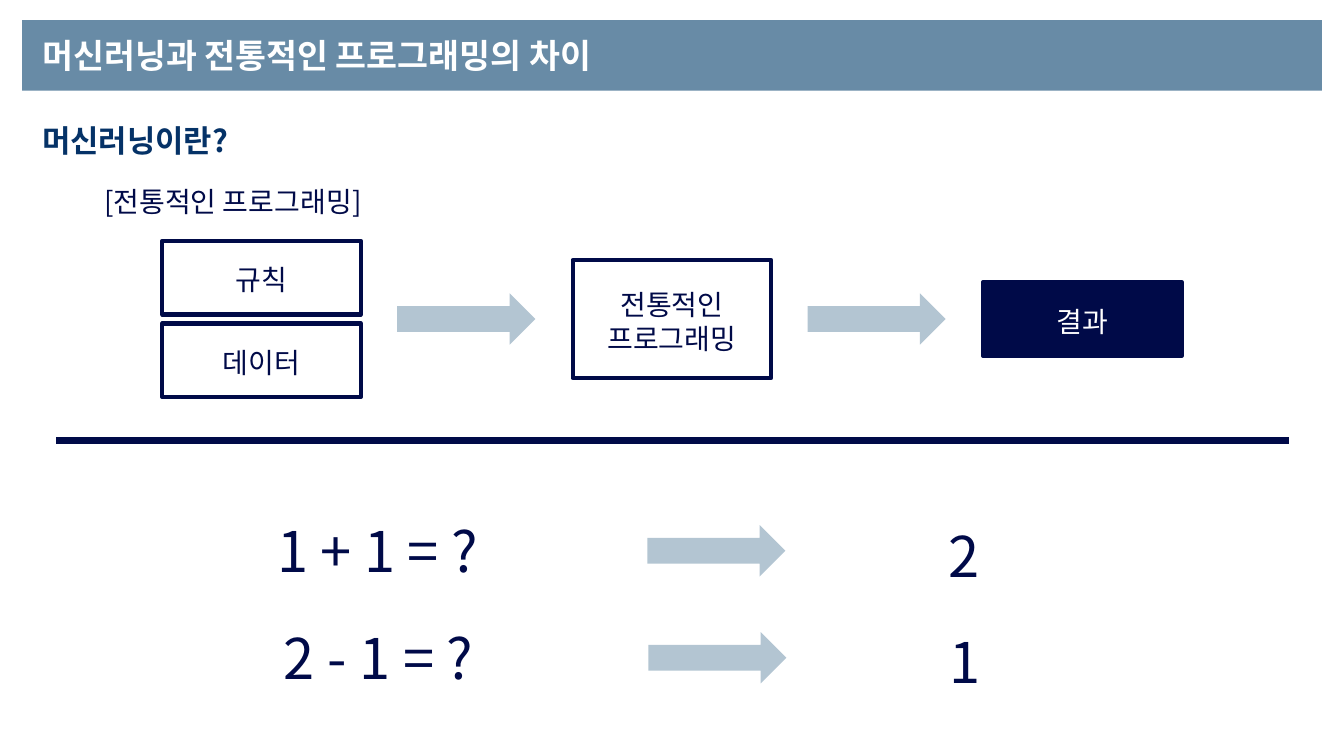
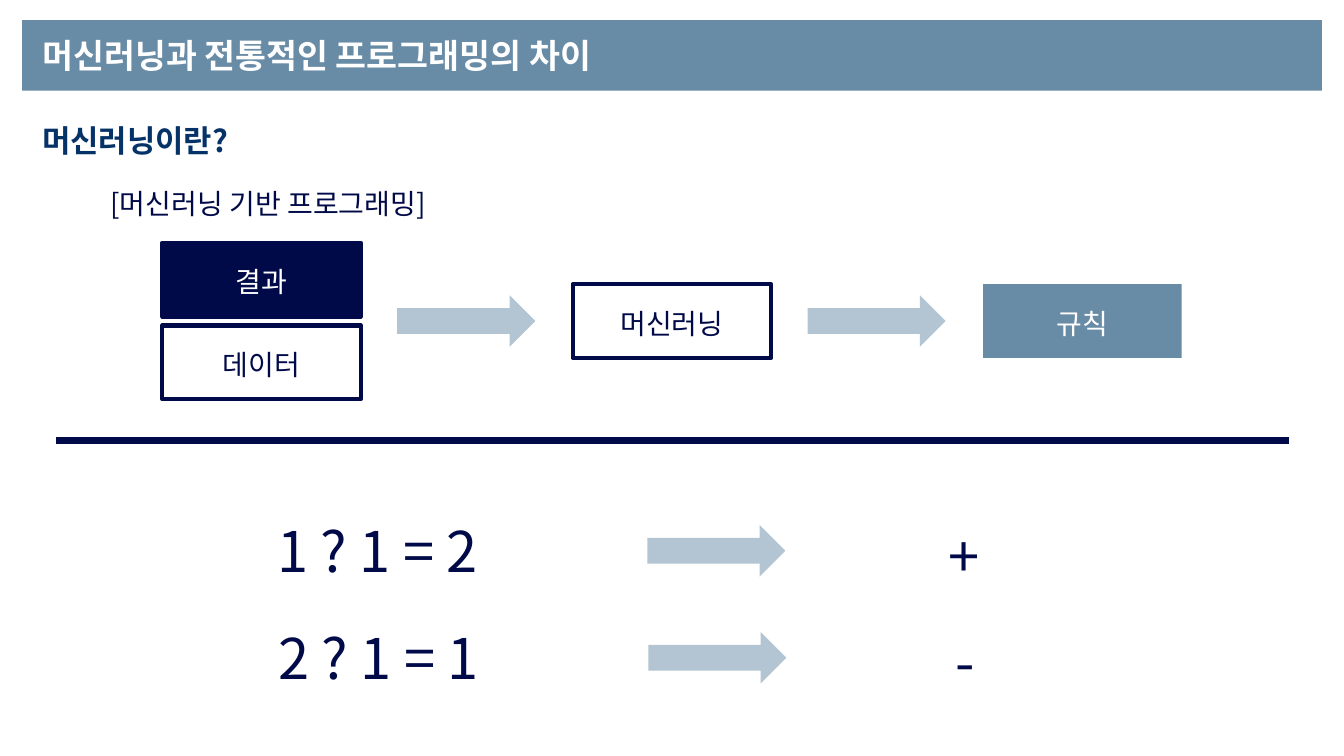
from lxml import etree
from pptx import Presentation
from pptx.dml.color import RGBColor
from pptx.enum.shapes import MSO_CONNECTOR, MSO_SHAPE
from pptx.enum.text import MSO_ANCHOR, PP_ALIGN
from pptx.oxml.ns import qn
from pptx.util import Inches, Pt

FONT = "Noto Sans CJK KR"
NAVY, STEEL, PALE, HEADING, WHITE = "000A48", "688BA6", "B3C5D2", "053267", "FFFFFF"

TITLE = "머신러닝과 전통적인 프로그래밍의 차이"
SUBTITLE = "머신러닝이란?"

NODE_WIDTH, NODE_HEIGHT, NODE_GAP = 1.97, 0.73, 0.09
ARROW_WIDTH, ARROW_HEIGHT = 1.37, 0.51
FLOW_LEFT, FLOW_ARROW_LEFT, FLOW_PITCH = 1.61, 3.94, 4.07
EXAMPLE_TOP, EXAMPLE_PITCH, EXAMPLE_WIDTH = 5.08, 1.06, 3.49

# Each node style: fill, outline, text colour
OUTLINED = (None, NAVY, NAVY)
DARK = (NAVY, NAVY, WHITE)
MUTED = (STEEL, None, WHITE)

SLIDES = [
    {
        "label": "[전통적인 프로그래밍]",
        "label_width": 3.5,
        "flow_top": 2.39,
        "inputs": [("규칙", OUTLINED), ("데이터", OUTLINED)],
        "process": ("전통적인\n프로그래밍", OUTLINED, 1.17),
        "output": ("결과", DARK),
        "examples": [("1 + 1 = ?", "2"), ("2 - 1 = ?", "1")],
    },
    {
        "label": "[머신러닝 기반 프로그래밍]",
        "label_width": 4.2,
        "flow_top": 2.41,
        "inputs": [("결과", DARK), ("데이터", OUTLINED)],
        "process": ("머신러닝", OUTLINED, NODE_HEIGHT),
        "output": ("규칙", MUTED),
        "examples": [("1 ? 1 = 2", "+"), ("2 ? 1 = 1", "-")],
    },
]


def rgb(value):
    return RGBColor.from_string(value)


def set_all(target, values):
    for name, value in values.items():
        setattr(target, name, value)


def write(box, text, size, color, bold=False, align=PP_ALIGN.CENTER, spacing=None):
    """Fill a box with one paragraph per line of text."""
    frame = box.text_frame
    for index, line in enumerate(text.split("\n")):
        para = frame.add_paragraph() if index else frame.paragraphs[0]
        set_all(para, {"alignment": align, "line_spacing": spacing})
        span = para.add_run()
        span.text = line
        set_all(span.font, {"name": FONT, "size": Pt(size), "bold": bold})
        span.font.color.rgb = rgb(color)
        east_asian = etree.SubElement(span.font._element, qn("a:ea"))
        east_asian.set("typeface", FONT)


def add_text(page, left, top, width, height, text, size, color=NAVY):
    box = page.shapes.add_textbox(Inches(left), Inches(top), Inches(width), Inches(height))
    box.text_frame.word_wrap = True
    write(box, text, size, color)


def add_block(page, preset, left, top, width, height, fill=None, outline=None):
    block = page.shapes.add_shape(
        preset, Inches(left), Inches(top), Inches(width), Inches(height))
    block.shadow.inherit = False
    if fill:
        block.fill.solid()
        block.fill.fore_color.rgb = rgb(fill)
    else:
        block.fill.background()
    if outline:
        block.line.color.rgb = rgb(outline)
        block.line.width = Pt(3)
    else:
        block.line.fill.background()
    return block


def add_arrow(page, left, top):
    add_block(page, MSO_SHAPE.RIGHT_ARROW, left, top, ARROW_WIDTH, ARROW_HEIGHT, PALE)


def add_node(page, column, top, text, style, height=NODE_HEIGHT):
    fill, outline, color = style
    node = add_block(page, MSO_SHAPE.RECTANGLE, FLOW_LEFT + column * FLOW_PITCH, top,
                     NODE_WIDTH, height, fill, outline)
    set_all(node.text_frame, {
        "word_wrap": True, "vertical_anchor": MSO_ANCHOR.MIDDLE,
        "margin_top": Inches(0.09), "margin_bottom": Inches(0.05)})
    write(node, text, 20, color)


def add_header(page):
    band = add_block(page, MSO_SHAPE.RECTANGLE, 0.22, 0.2, 12.89, 0.7, STEEL)
    set_all(band.text_frame, {
        "vertical_anchor": MSO_ANCHOR.MIDDLE, "margin_left": Inches(0.2)})
    write(band, TITLE, 24, WHITE, True, PP_ALIGN.LEFT)

    heading = page.shapes.add_textbox(Inches(0.42), Inches(1.13), Inches(1.96), Inches(0.41))
    sides = ("left", "top", "right", "bottom")
    set_all(heading.text_frame, {f"margin_{side}": 0 for side in sides})
    heading.text_frame.word_wrap = False
    write(heading, SUBTITLE, 22, HEADING, True, PP_ALIGN.LEFT, 1.2)


def add_divider(page):
    divider = page.shapes.add_connector(
        MSO_CONNECTOR.STRAIGHT, Inches(0.56), Inches(4.37), Inches(12.78), Inches(4.37))
    divider.line.color.rgb = rgb(NAVY)
    divider.line.width = Pt(4.5)
    etree.SubElement(divider._element.spPr, qn("a:effectLst"))


def add_flow(page, top, inputs, process, output):
    """Draw stacked inputs, a process and an output around one middle line."""
    step = NODE_HEIGHT + NODE_GAP
    middle = top + (step + NODE_HEIGHT) / 2
    for row, (text, style) in enumerate(inputs):
        add_node(page, 0, top + row * step, text, style)
    text, style, height = process
    add_node(page, 1, middle - height / 2, text, style, height)
    add_node(page, 2, middle - NODE_HEIGHT / 2, *output)
    for column in range(2):
        add_arrow(page, FLOW_ARROW_LEFT + column * FLOW_PITCH, middle - ARROW_HEIGHT / 2)


def add_examples(page, examples):
    for row, (question, answer) in enumerate(examples):
        top = EXAMPLE_TOP + row * EXAMPLE_PITCH
        shift = row * 0.01
        add_text(page, 2 + shift, top, EXAMPLE_WIDTH, 0.77, question, 40)
        add_arrow(page, 6.42 + shift, top + 0.13)
        add_text(page, 7.82 + shift, top + 0.04, EXAMPLE_WIDTH, 0.77, answer, 40)


def main():
    deck = Presentation()
    set_all(deck, {"slide_width": Inches(13.33), "slide_height": Inches(7.5)})
    for content in SLIDES:
        page = deck.slides.add_slide(deck.slide_layouts[6])
        add_header(page)
        add_text(page, 0.56, content["flow_top"] - 0.61, content["label_width"], 0.44,
                 content["label"], 20)
        add_flow(page, content["flow_top"], content["inputs"],
                 content["process"], content["output"])
        add_divider(page)
        add_examples(page, content["examples"])
    deck.save("out.pptx")


if __name__ == "__main__":
    main()
